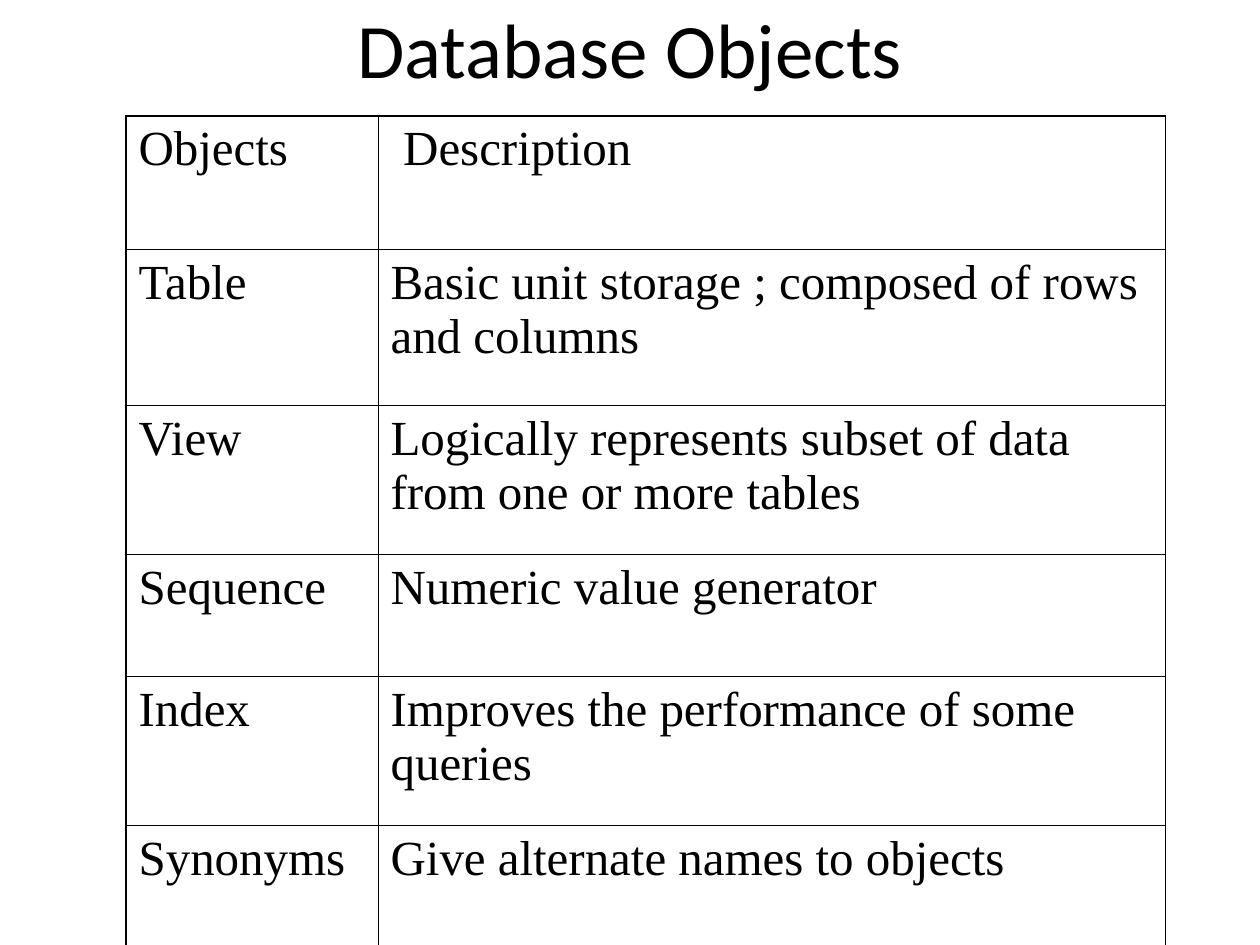
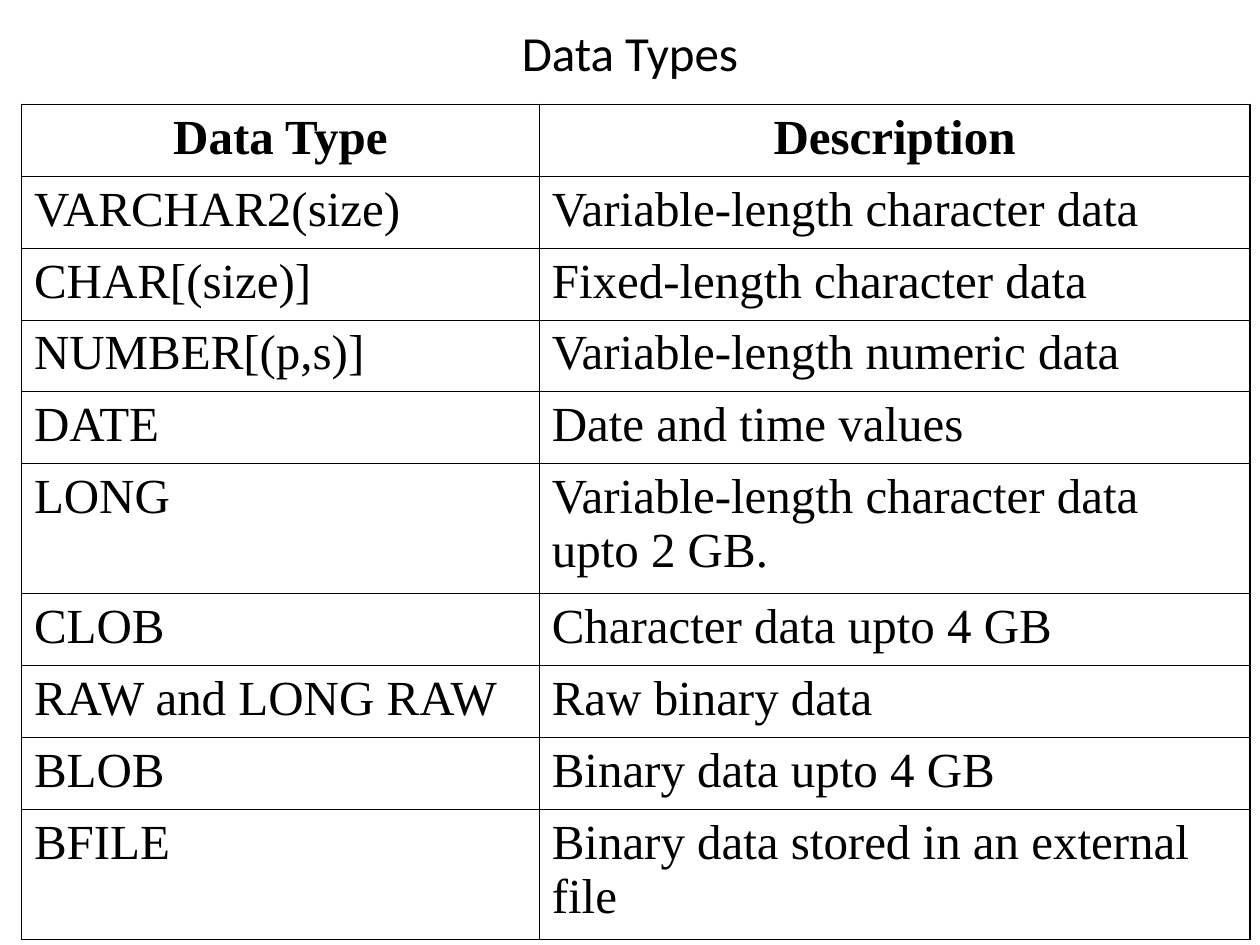
from lxml import etree
from pptx import Presentation
from pptx.dml.color import RGBColor as Rgb
from pptx.enum.text import MSO_ANCHOR as Anchor, PP_ALIGN as Align
from pptx.oxml.ns import qn
from pptx.util import Inches, Pt

COLORS = {"ink": "000000", "page": "FFFFFF"}
FONTS = {"title": "Calibri", "cell": "Times New Roman"}
WIDE, HIGH = 10, 7.5
OUTER, INNER = 1.08, 0.45

OBJECTS = [
    ("Objects", "Description"),
    ("Table", "Basic unit storage ; composed of rows and columns"),
    ("View", "Logically represents subset of data from one or more tables"),
    ("Sequence", "Numeric value generator"),
    ("Index", "Improves the performance of some queries"),
    ("Synonyms", "Give alternate names to objects"),
]
TYPES = [
    ("Data Type", "Description"),
    ("VARCHAR2(size)", "Variable-length character data"),
    ("CHAR[(size)]", "Fixed-length character data"),
    ("NUMBER[(p,s)]", "Variable-length numeric data"),
    ("DATE", "Date and time values"),
    ("LONG", "Variable-length character data upto 2 GB."),
    ("CLOB", "Character data upto 4 GB"),
    ("RAW and LONG RAW", "Raw binary data"),
    ("BLOB", "Binary data upto 4 GB"),
    ("BFILE", "Binary data stored in an external file"),
]


def style(para, face, size, bold=False, align=Align.LEFT):
    para.alignment = align
    font = para.font
    font.name, font.size, font.bold = FONTS[face], Pt(size), bold
    font.color.rgb = Rgb.from_string(COLORS["ink"])


def add_page(deck, title, size, top, height):
    """Add a blank slide with a centred title and return it."""
    page = deck.slides.add_slide(deck.slide_layouts[6])
    fill = page.background.fill
    fill.solid()
    fill.fore_color.rgb = Rgb.from_string(COLORS["page"])
    box = page.shapes.add_textbox(Inches(0.075 * WIDE), Inches(top),
                                  Inches(0.85 * WIDE), Inches(height))
    frame = box.text_frame
    frame.word_wrap = True
    frame.vertical_anchor = Anchor.MIDDLE
    frame.text = title
    style(frame.paragraphs[0], "title", size, align=Align.CENTER)
    return page


def set_border(cell, side, width):
    line = etree.Element(qn(f"a:ln{side}"), w=str(int(Pt(width))))
    fill = etree.SubElement(line, qn("a:solidFill"))
    etree.SubElement(fill, qn("a:srgbClr"), val=COLORS["ink"])
    props = cell._tc.get_or_add_tcPr()
    lines = [el for el in props if el.tag.startswith(qn("a:ln"))]
    props.insert(len(lines), line)


def add_grid(page, data, left, top, cols, rows):
    """Add a ruled table with a heavier frame than its inner lines."""
    grid = page.shapes.add_table(
        len(rows), len(cols), Inches(left), Inches(top),
        Inches(sum(cols)), Inches(sum(rows))).table
    grid.first_row = grid.horz_banding = False
    for col, width in zip(grid.columns, cols):
        col.width = Inches(width)
    last_row, last_col = len(rows) - 1, len(cols) - 1
    for r, texts in enumerate(data):
        grid.rows[r].height = Inches(rows[r])
        for c, text in enumerate(texts):
            cell = grid.cell(r, c)
            cell.text = text
            cell.fill.background()
            style(cell.text_frame.paragraphs[0], "cell", 28)
            edges = {"L": c == 0, "R": c == last_col,
                     "T": r == 0, "B": r == last_row}
            for side, edge in edges.items():
                set_border(cell, side, OUTER if edge else INNER)
    return grid


def add_objects(deck):
    page = add_page(deck, "Database Objects", 44, -0.33, 1.42)
    grid = add_grid(page, OBJECTS, 1, 0.92, (2, 6.25),
                    (1.06, 1.24, 1.18, 0.97, 1.18, 0.97))
    grid.cell(0, 1).margin_left = Inches(0.2)


def add_types(deck):
    page = add_page(deck, "Data Types", 28, 0, 0.83)
    long_rows = ("LONG", "BFILE")
    rows = [1.03 if name in long_rows else 0.57 for name, _ in TYPES]
    grid = add_grid(page, TYPES, 0.17, 0.83, (4.11, 5.64), rows)
    for cell in grid.rows[0].cells:
        style(cell.text_frame.paragraphs[0], "cell", 28, True, Align.CENTER)


def main():
    deck = Presentation()
    deck.slide_width, deck.slide_height = Inches(WIDE), Inches(HIGH)
    add_objects(deck)
    add_types(deck)
    deck.save("out.pptx")


if __name__ == "__main__":
    main()
